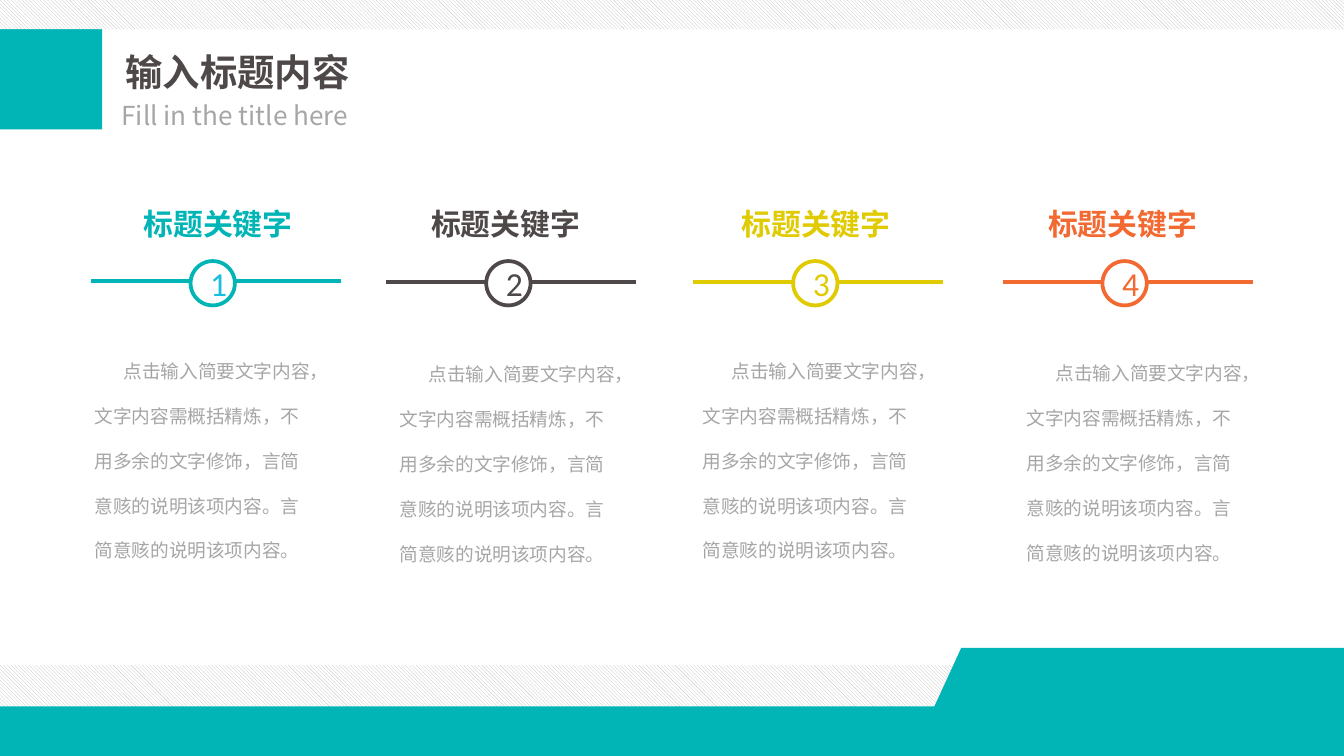
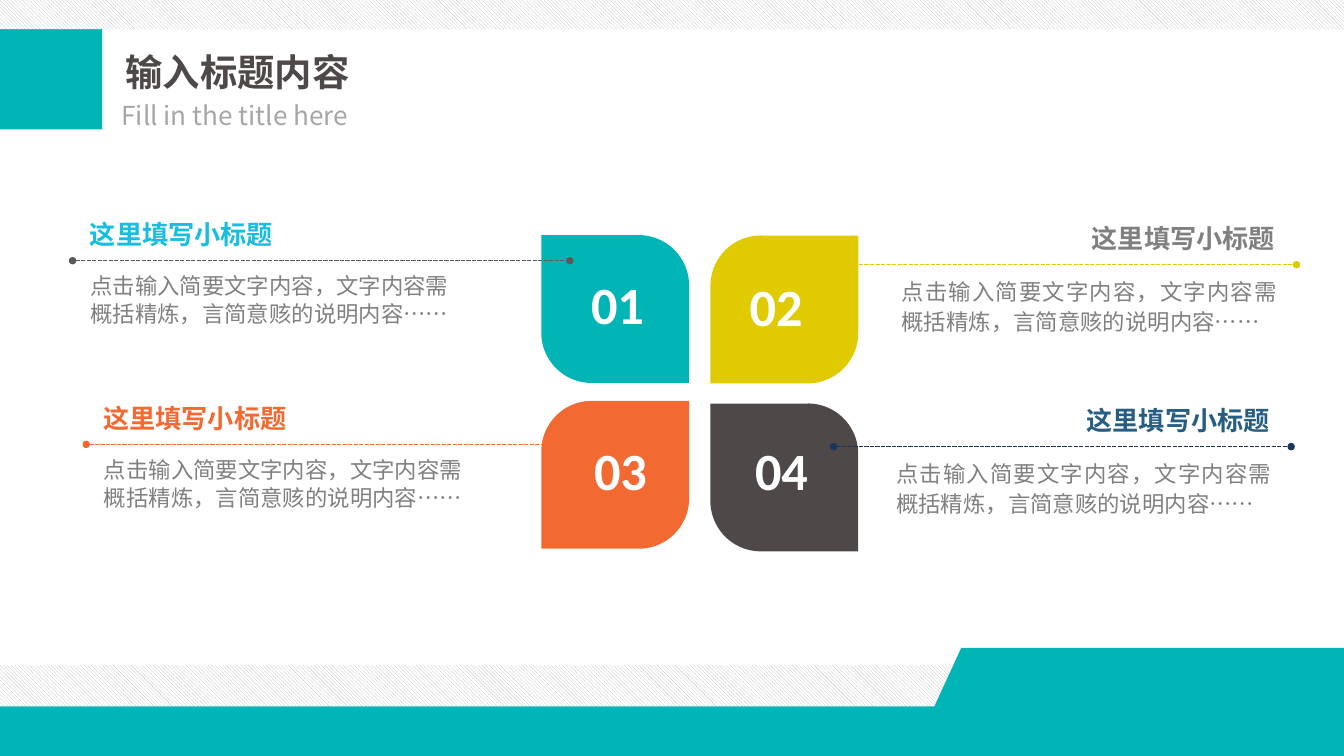
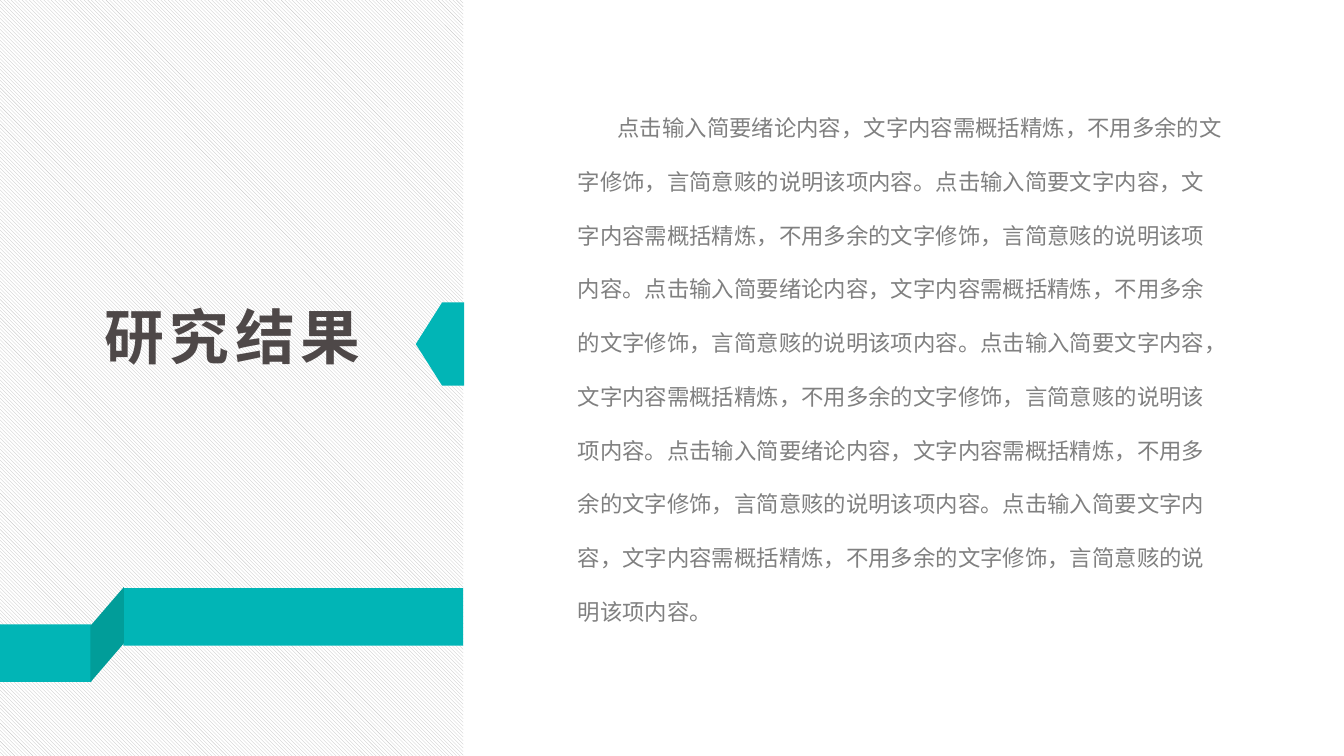
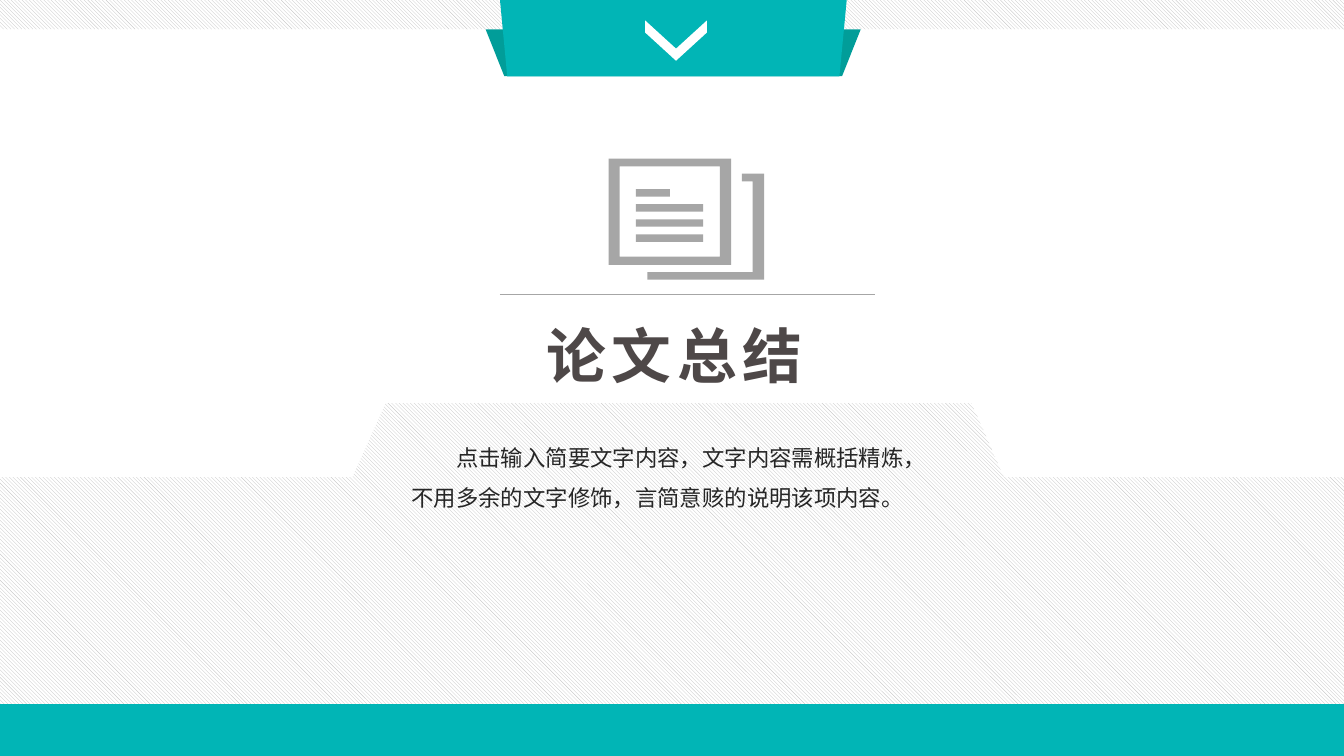
from dataclasses import dataclass
from typing import NamedTuple

from lxml.etree import SubElement
from pptx import Presentation
from pptx.dml.color import RGBColor
from pptx.enum.dml import MSO_LINE, MSO_PATTERN
from pptx.enum.shapes import MSO_CONNECTOR, MSO_SHAPE
from pptx.enum.text import MSO_ANCHOR, MSO_AUTO_SIZE, PP_ALIGN
from pptx.oxml.ns import qn
from pptx.util import Pt


@dataclass(frozen=True)
class Theme:
    teal: str = "01B5B6"
    dark_teal: str = "019D99"
    cyan: str = "17BEDF"
    charcoal: str = "4E4848"
    yellow: str = "E0CB02"
    orange: str = "F26932"
    navy: str = "17375E"
    blue: str = "265D82"
    black: str = "262626"
    graphite: str = "595959"
    gray: str = "808080"
    light_gray: str = "A6A6A6"
    hatch: str = "BFBFBF"
    white: str = "FFFFFF"
    cjk: str = "Noto Sans CJK SC"
    latin: str = "Calibri"
    section: int = 32
    number: int = 28
    title: int = 20
    step: int = 18
    keyword: int = 16
    subtitle: int = 14
    body: int = 12
    small: int = 10


T = Theme()
WIDTH, HEIGHT = 720, 405
HATCH = "hatch"
CIRCLE = 23.76
PETAL = 79.2
JUSTIFY = PP_ALIGN.JUSTIFY


class Box(NamedTuple):
    left: float
    top: float
    width: float
    height: float


class Step(NamedTuple):
    color: str
    number_color: str
    heading_left: float
    line_left: float
    line_y: float
    body_left: float
    body_top: float


class Petal(NamedTuple):
    left: float
    top: float
    color: str
    flipped: bool
    number_left: float
    number_top: float


class Note(NamedTuple):
    start: float
    end: float
    y: float
    line_color: str
    heading_color: str
    heading_left: float
    body_left: float
    body_align: PP_ALIGN | None
    spacing: float


STEPS = [
    Step(T.teal, T.cyan, 69.84, 48.6, 150.48, 43.6, 177.2),
    Step(T.charcoal, T.charcoal, 223.92, 207, 151.2, 207, 178.9),
    Step(T.yellow, T.yellow, 390.24, 371.4, 151.2, 369.36, 177.2),
    Step(T.orange, T.orange, 554.4, 537.12, 151.2, 542.88, 178.3),
]
PETALS = [
    Petal(290, 126, T.teal, True, 309.6, 142.56),
    Petal(380.6, 126.2, T.yellow, False, 394.56, 143.28),
    Petal(290, 214.8, T.orange, False, 311.2, 231.12),
    Petal(380.6, 216.2, T.charcoal, True, 397.44, 231.12),
]
NOTES = [
    Note(38.88, 305.28, 139.68, T.graphite, T.cyan, 41.04, 41.3, None, 15),
    Note(46.2, 308.16, 238.1, T.orange, T.orange, 48.24, 48.6, None, 15),
    Note(434.88, 694.6, 141.84, T.yellow, T.gray, 577.8, 475.92, JUSTIFY, 16),
    Note(446.6, 691.7, 239.3, T.navy, T.blue, 575, 473.04, JUSTIFY, 16),
]


def rgb(color: str) -> RGBColor:
    return RGBColor.from_string(color)


def paint(s, fill: str, line: str | None = None, width: float = 0) -> None:
    s.shadow.inherit = False
    if fill == HATCH:
        s.fill.patterned()
        s.fill.pattern = MSO_PATTERN.LIGHT_DOWNWARD_DIAGONAL
        s.fill.fore_color.rgb = rgb(T.hatch)
        s.fill.back_color.rgb = rgb(T.white)
    else:
        s.fill.solid()
        s.fill.fore_color.rgb = rgb(fill)
    if line:
        s.line.color.rgb = rgb(line)
        s.line.width = Pt(width)
    else:
        s.line.fill.background()


def add_shape(slide, box: Box, fill: str, kind=MSO_SHAPE.RECTANGLE, *, adj=(),
              flip: str = "", rotation: float = 0, line: str | None = None,
              width: float = 0):
    s = slide.shapes.add_shape(kind, *map(Pt, box))
    for i, value in enumerate(adj):
        s.adjustments[i] = value
    if flip:
        s.element.spPr.xfrm.set(flip, "1")
    s.rotation = rotation
    paint(s, fill, line, width)
    return s


def add_outline(slide, fill: str, *contours) -> None:
    first = contours[0][0]
    builder = slide.shapes.build_freeform(Pt(first[0]), Pt(first[1]))
    for i, points in enumerate(contours):
        if i:
            builder.move_to(Pt(points[0][0]), Pt(points[0][1]))
        builder.add_line_segments([(Pt(x), Pt(y)) for x, y in points[1:]])
    paint(builder.convert_to_shape(), fill)


def add_line(slide, x1: float, x2: float, y: float, color: str, width: float,
             dotted_ends: bool = False) -> None:
    s = slide.shapes.add_connector(MSO_CONNECTOR.STRAIGHT, Pt(x1), Pt(y), Pt(x2), Pt(y))
    s.line.color.rgb = rgb(color)
    s.line.width = Pt(width)
    if dotted_ends:
        s.line.dash_style = MSO_LINE.SQUARE_DOT
        ln = s.line._get_or_add_ln()
        for end in ("a:headEnd", "a:tailEnd"):
            SubElement(ln, qn(end), type="oval", w="sm", len="sm")
    SubElement(s.element.spPr, qn("a:effectLst"))


def write(tf, text: str, *, size: float, color: str, font: str = T.cjk,
          bold: bool = False, align=None, spacing=None, indent: float = 0,
          tracking: float = 0) -> None:
    p = tf.paragraphs[0]
    p.alignment = align
    p.line_spacing = spacing
    if indent:
        p._p.get_or_add_pPr().set("indent", str(Pt(indent)))
    r = p.add_run()
    r.text = text
    r.font.name = font
    r.font.size = Pt(size)
    r.font.bold = bold
    r.font.color.rgb = rgb(color)
    rpr = r._r.get_or_add_rPr()
    SubElement(rpr, qn("a:ea"), typeface=font)
    if tracking:
        rpr.set("spc", str(round(tracking * 100)))


def add_text(slide, box: Box, text: str, *, wrap: bool = True, **style) -> None:
    tf = slide.shapes.add_textbox(*map(Pt, box)).text_frame
    tf.word_wrap = wrap
    tf.auto_size = MSO_AUTO_SIZE.SHAPE_TO_FIT_TEXT
    write(tf, text, **style)


def add_top_band(slide) -> None:
    add_shape(slide, Box(0, 0, WIDTH, 15.7), HATCH)


def add_frame(slide) -> None:
    add_shape(slide, Box(0, 356.4, WIDTH, 36.72), HATCH)
    add_outline(slide, T.teal, [(WIDTH, HEIGHT), (0, HEIGHT), (0, 378.4), (500.6, 378.4),
                                (515, 347.04), (WIDTH, 347.04)])
    add_shape(slide, Box(0, 15.5, 54.72, 53.8), T.teal)
    add_text(slide, Box(60.1, 23.04, 141.12, 31.68), "输入标题内容",
             size=T.title, color=T.charcoal, bold=True)
    add_text(slide, Box(58, 49.68, 141.12, 24.48), "Fill in the title here",
             wrap=False, size=T.subtitle, color=T.light_gray)
    add_top_band(slide)


def add_section_title(slide, box: Box, text: str) -> None:
    add_text(slide, box, text, size=T.section, color=T.charcoal, bold=True,
             align=JUSTIFY, indent=10, tracking=3)


def build_steps(slide) -> None:
    add_frame(slide)
    for number, step in enumerate(STEPS, 1):
        add_text(slide, Box(step.heading_left, 106.4, 95.04, 46.08), "标题关键字",
                 wrap=False, size=T.keyword, color=step.color, bold=True)
        add_line(slide, step.line_left, step.line_left + 133.92, step.line_y, step.color, 2)
        circle = add_shape(slide, Box(step.line_left + 53.5, 139.9, CIRCLE, CIRCLE),
                           T.white, MSO_SHAPE.OVAL, line=step.color, width=2)
        circle.text_frame.vertical_anchor = MSO_ANCHOR.MIDDLE
        write(circle.text_frame, str(number), size=T.step, color=step.number_color,
              font=T.latin, align=PP_ALIGN.CENTER)
        add_text(slide, Box(step.body_left, step.body_top, 133.2, 152.64),
                 "点击输入简要文字内容，文字内容需概括精炼，不用多余的文字修饰，"
                 "言简意赅的说明该项内容。言简意赅的说明该项内容。",
                 size=T.small, color=T.light_gray, spacing=2.0, indent=15.6)


def build_petals(slide) -> None:
    for number, petal in enumerate(PETALS, 1):
        add_shape(slide, Box(petal.left, petal.top, PETAL, PETAL), petal.color,
                  MSO_SHAPE.ROUND_2_DIAG_RECTANGLE, adj=(0.341, 0),
                  flip="flipH" if petal.flipped else "")
        add_text(slide, Box(petal.number_left, petal.number_top, 43.2, 41.04),
                 f"{number:02}", wrap=False, size=T.number, color=T.white,
                 font=T.latin, bold=True)
    for note in NOTES:
        add_text(slide, Box(note.heading_left, note.y - 26.2, 116.64, 24.48),
                 "这里填写小标题", size=T.subtitle, color=note.heading_color,
                 bold=True, align=JUSTIFY)
        add_text(slide, Box(note.body_left, note.y + 2.1, 215.28, 37.8),
                 "点击输入简要文字内容，文字内容需概括精炼，言简意赅的说明内容……",
                 size=T.body, color=T.gray, align=note.body_align,
                 spacing=Pt(note.spacing))
        add_line(slide, note.start, note.end, note.y, note.line_color, 0.75,
                 dotted_ends=True)
    add_frame(slide)


def build_results(slide) -> None:
    add_shape(slide, Box(0, 0, 248.2, HEIGHT), HATCH)
    text = "".join(
        f"点击输入简要{topic}内容，文字内容需概括精炼，不用多余的文字修饰，"
        "言简意赅的说明该项内容。" for topic in ("绪论", "文字") * 3)
    add_text(slide, Box(302.4, 43.2, 361.2, 345), text,
             size=T.body, color=T.gray, spacing=2.0, indent=21.4)
    add_section_title(slide, Box(38.88, 156.96, 179.28, 46.08), "研究结果")
    add_shape(slide, Box(0, 334.5, 48.96, 30.8), T.teal)
    add_shape(slide, Box(66.1, 315.1, 182, 30.8), T.teal)
    add_shape(slide, Box(31.8, 331, 51.12, 18), T.dark_teal, MSO_SHAPE.PARALLELOGRAM,
              adj=(1.163,), flip="flipV", rotation=90)
    add_shape(slide, Box(222.8, 162, 25.92, 44.64), T.teal, MSO_SHAPE.PENTAGON,
              adj=(0.544,), flip="flipH")


def add_pages_icon(slide) -> None:
    add_outline(slide, T.light_gray,
                [(391.68, 141.84), (326, 141.84), (326, 84.96), (391.68, 84.96)],
                [(331.92, 137.52), (385.7, 137.52), (385.7, 89.1), (331.92, 89.1)])
    for i, width in enumerate((18.2, 36, 36, 36)):
        add_shape(slide, Box(340.7, 101.3 + 8.1 * i, width, 4), T.light_gray)
    add_outline(slide, T.light_gray,
                [(409.4, 149.9), (346.8, 149.9), (346.8, 145.9), (403.3, 145.9),
                 (403.3, 97.2), (397.44, 97.2), (397.44, 93.1), (409.4, 93.1)])


def build_summary(slide) -> None:
    add_pages_icon(slide)
    add_line(slide, 267.84, 468.72, 157.68, T.light_gray, 0.75)
    add_outline(slide, HATCH,
                [(206.64, 216), (520.56, 216), (537.84, 255.6), (WIDTH, 255.6),
                 (WIDTH, HEIGHT), (0, HEIGHT), (0, 255.6), (188.9, 255.6)])
    add_shape(slide, Box(0, 377.2, WIDTH, 27.8), T.teal)
    add_top_band(slide)
    add_section_title(slide, Box(275.6, 167.04, 174.96, 46.08), "论文总结")
    add_shape(slide, Box(260.2, 15.84, 200.88, 25), T.dark_teal, MSO_SHAPE.TRAPEZOID,
              adj=(0.399,), flip="flipV")
    add_shape(slide, Box(267.84, 0, 185.76, 40.9), T.teal, MSO_SHAPE.TRAPEZOID,
              adj=(0.095,), flip="flipV")
    add_shape(slide, Box(351.36, 5.2, 21.6, 33.12), T.white, MSO_SHAPE.CHEVRON,
              adj=(0.7,), rotation=90)
    add_text(slide, Box(213.3, 227, 296.64, 48.24),
             "点击输入简要文字内容，文字内容需概括精炼，不用多余的文字修饰，"
             "言简意赅的说明该项内容。",
             size=T.body, color=T.black, spacing=1.5, indent=24)


def main() -> None:
    prs = Presentation()
    prs.slide_width, prs.slide_height = Pt(WIDTH), Pt(HEIGHT)
    for build in (build_steps, build_petals, build_results, build_summary):
        build(prs.slides.add_slide(prs.slide_layouts[6]))
    prs.save("out.pptx")


if __name__ == "__main__":
    main()
